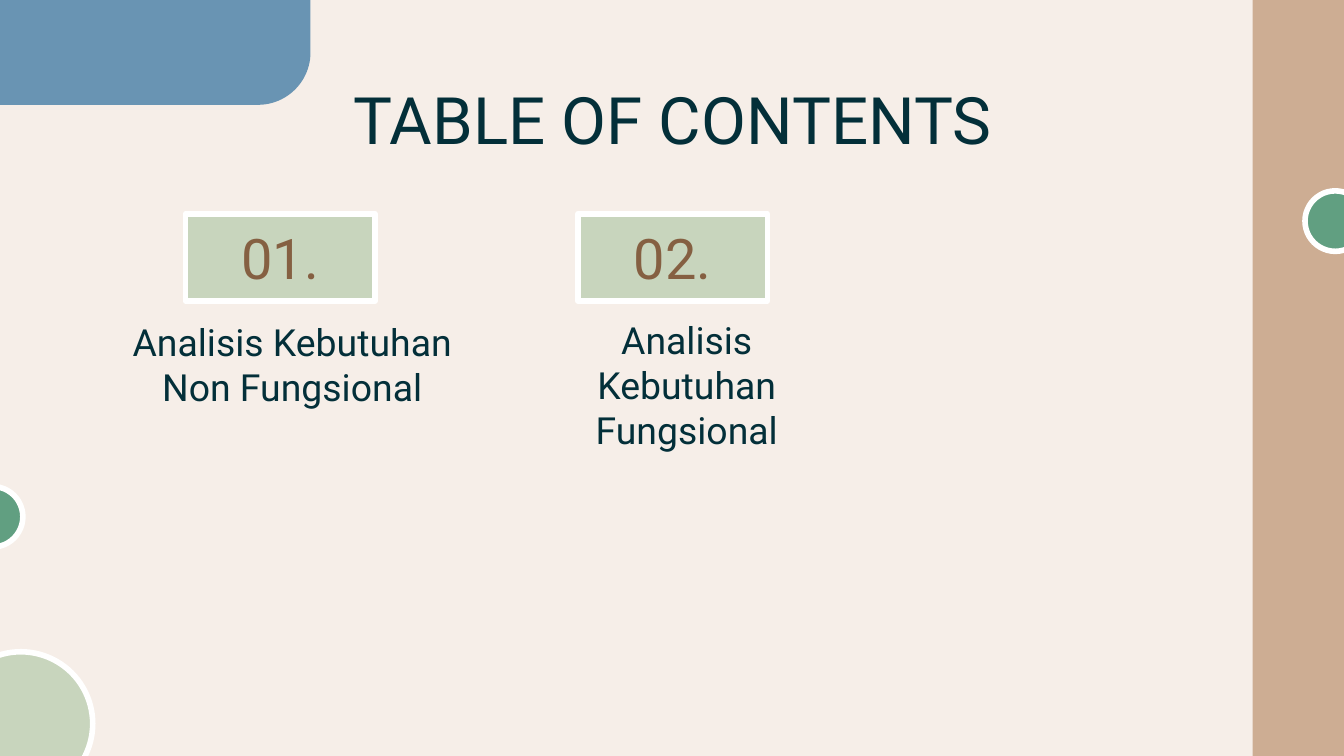
from pptx import Presentation
from pptx.dml.color import RGBColor
from pptx.enum.shapes import MSO_SHAPE
from pptx.enum.text import MSO_ANCHOR, PP_ALIGN
from pptx.util import Inches, Pt

CREAM = RGBColor(0xF6, 0xEE, 0xE8)
BLUE = RGBColor(0x69, 0x94, 0xB3)
SAGE = RGBColor(0xC8, 0xD5, 0xBD)
TAN = RGBColor(0xCD, 0xAD, 0x93)
GREEN = RGBColor(0x61, 0x9F, 0x81)
BROWN = RGBColor(0x85, 0x60, 0x42)
NAVY = RGBColor(0x03, 0x2F, 0x39)
WHITE = RGBColor(0xFF, 0xFF, 0xFF)
FONT = "Roboto"
WIDTH = 10
HEIGHT = WIDTH * 9 / 16


def add_block(slide, kind, box, fill, outlined=False):
    """Add a filled preset shape, with a white outline if wanted."""
    s = slide.shapes.add_shape(kind, *map(Inches, box))
    s.shadow.inherit = False
    s.fill.solid()
    s.fill.fore_color.rgb = fill
    if outlined:
        s.line.color.rgb = WHITE
        s.line.width = Pt(3)
    else:
        s.line.fill.background()
    return s


def write(s, text, size, color, anchor):
    """Put one centred paragraph of text in a shape."""
    tf = s.text_frame
    tf.word_wrap = True
    tf.vertical_anchor = anchor
    tf.margin_left = tf.margin_right = Inches(0.1)
    tf.margin_top = tf.margin_bottom = Inches(0.1)
    tf.text = text
    p = tf.paragraphs[0]
    p.alignment = PP_ALIGN.CENTER
    r = p.runs[0]
    r.font.name = FONT
    r.font.size = Pt(size)
    r.font.color.rgb = color


def add_label(slide, box, text, size, anchor):
    """Add a text box in the dark text colour."""
    s = slide.shapes.add_textbox(*map(Inches, box))
    write(s, text, size, NAVY, anchor)


def add_background(slide, width, height):
    """Colour the slide and place the corner, side band and circles."""
    slide.background.fill.solid()
    slide.background.fill.fore_color.rgb = CREAM
    corner = add_block(slide, MSO_SHAPE.ROUND_1_RECTANGLE, (0, 0, 2.31, 0.78), BLUE)
    corner.adjustments[0] = 0.5
    corner.rotation = 180
    corner.element.spPr.xfrm.set("flipH", "1")
    add_block(slide, MSO_SHAPE.RECTANGLE, (width - 0.68, 0, 0.68, height), TAN)
    circles = [(-0.38, 4.85, 1.07, SAGE), (9.71, 1.42, 0.45, GREEN), (-0.28, 3.62, 0.45, GREEN)]
    for left, top, size, color in circles:
        add_block(slide, MSO_SHAPE.OVAL, (left, top, size, size), color, True)


def add_entry(slide, left, top, number, topic, topic_box):
    """Add a numbered tile and its topic, whose box is relative to the tile."""
    tile = add_block(slide, MSO_SHAPE.RECTANGLE, (left, top, 1.41, 0.65), SAGE, True)
    write(tile, number, 30, BROWN, MSO_ANCHOR.MIDDLE)
    dx, dy, width, height = topic_box
    add_label(slide, (left + dx, top + dy, width, height), topic, 20, MSO_ANCHOR.BOTTOM)


def build():
    """Build and save the contents slide."""
    prs = Presentation()
    prs.slide_width, prs.slide_height = Inches(WIDTH), Inches(HEIGHT)
    slide = prs.slides.add_slide(prs.slide_layouts[6])
    add_background(slide, WIDTH, HEIGHT)
    add_label(slide, (0.79, 0.49, 8.43, 0.63), "TABLE OF CONTENTS", 35, MSO_ANCHOR.TOP)
    entries = [
        ("Analisis Kebutuhan Non Fungsional", (-0.59, 1.02, 2.77, 0.53)),
        ("Analisis Kebutuhan Fungsional", (-0.38, 1.34, 2.38, 0.53)),
    ]
    for i, (topic, topic_box) in enumerate(entries):
        add_entry(slide, 1.38 + 2.92 * i, 1.59, f"{i + 1:02d}.", topic, topic_box)
    prs.save("out.pptx")


build()
